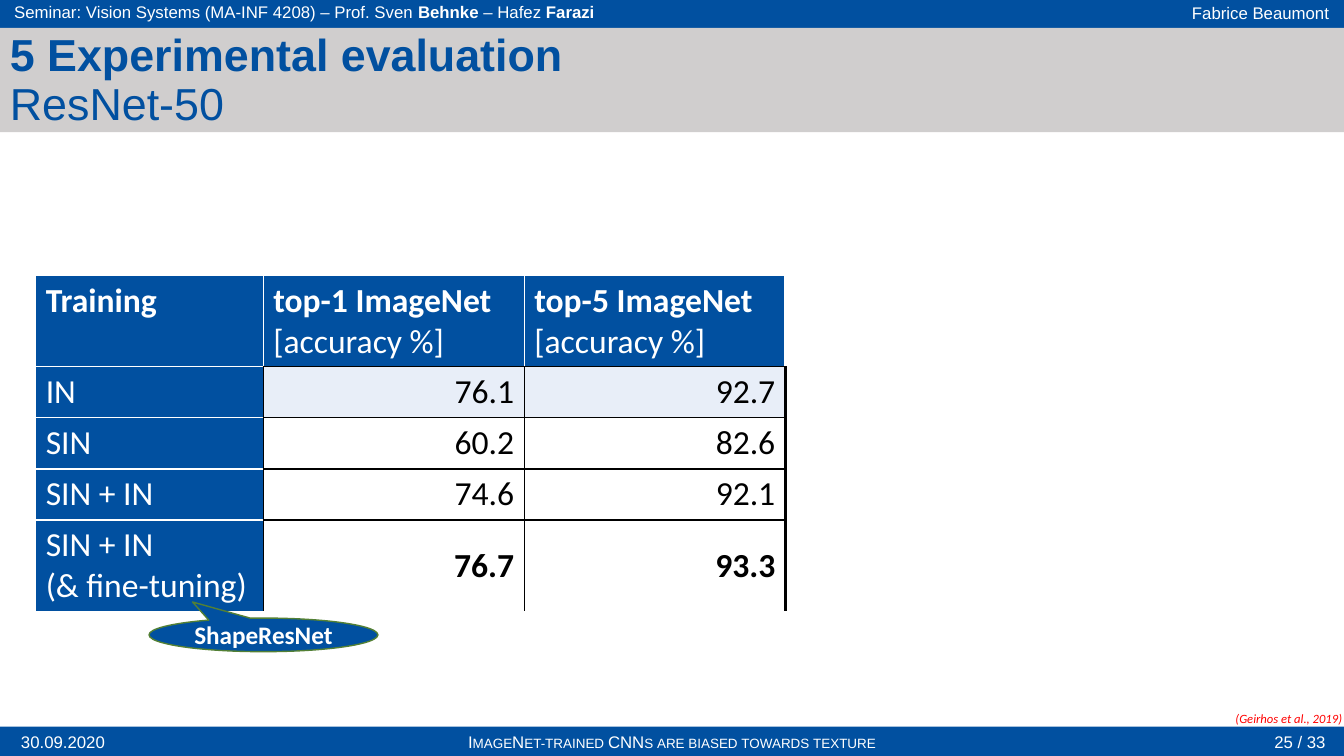
from lxml import etree
from pptx import Presentation
from pptx.dml.color import RGBColor
from pptx.enum import shapes, text
from pptx.oxml.ns import qn
from pptx.util import Pt

THEME = {
    "blue": "0150A0", "grey": "D0CECE", "pale": "E8EEF8", "green": "538035",
    "white": "FFFFFF", "black": "000000", "red": "FF0000",
    "sans": "Arial", "body": "Calibri",
    "bar_size": 12, "title_size": 32, "table_size": 24, "callout_size": 18, "source_size": 9,
}
WIDTH, HEIGHT = 960, 540
LEFT, CENTER, RIGHT = text.PP_ALIGN.LEFT, text.PP_ALIGN.CENTER, text.PP_ALIGN.RIGHT
TOP, MIDDLE = text.MSO_ANCHOR.TOP, text.MSO_ANCHOR.MIDDLE
BOLD = {"bold": True}

# Bands: top, height, colour
BANDS = [(519, 21, "blue"), (-1, 21, "blue"), (20, 74.5, "grey")]

# Bar labels: left, top, width, alignment, runs
BAR_LABELS = [
    (749.5, -1.5, 207, RIGHT, [("Fabrice Beaumont", {})]),
    (1.5, 519, 87, CENTER, [("30.09.2020", {})]),
    (287.5, 519, 385, CENTER,
     [("ImageNet-trained CNNs are biased towards texture", {"small_caps": True})]),
    (3, -2, 594, LEFT, [("Seminar: Vision Systems (MA-INF 4208) – Prof. Sven ", {}),
                        ("Behnke", BOLD), (" – Hafez ", {}), ("Farazi", BOLD)]),
    (888.5, 519, 65.5, RIGHT, [("25 / 33", {})]),
]
BAR_LABEL_HEIGHT = 21

TITLE = [("5 Experimental evaluation\n", BOLD), ("ResNet-50", {})]
SOURCE = [("(Geirhos et al., 2019)", {"italic": True})]
CALLOUT = [("ShapeResNet", BOLD)]

HEADER = [
    [("Training", BOLD)],
    [("top-1 ImageNet\n", BOLD), ("[accuracy %]", {})],
    [("top-5 ImageNet\n", BOLD), ("[accuracy %]", {})],
]
RESULTS = [
    ("IN", "76.1", "92.7"),
    ("SIN", "60.2", "82.6"),
    ("SIN + IN", "74.6", "92.1"),
    ("SIN + IN\n(& fine-tuning)", "76.7", "93.3"),
]
TABLE_LEFT, TABLE_TOP = 25.5, 196.5
COLUMN_WIDTHS = [162.5, 186.5, 186.5]
ONE_LINE, TWO_LINES = 36.5, 65.5
ROW_HEIGHTS = [TWO_LINES, ONE_LINE, ONE_LINE, ONE_LINE, TWO_LINES]


def color(name):
    return RGBColor.from_string(THEME[name])


def write(paragraph, runs, size, font, ink, alignment=LEFT):
    """Fill a paragraph with (text, style) runs; a newline becomes a line break."""
    paragraph.alignment = alignment
    for content, style in runs:
        for index, line in enumerate(content.split("\n")):
            if index:
                paragraph.add_line_break()
            if not line:
                continue
            run = paragraph.add_run()
            run.text = line
            values = {"name": THEME[font], "size": Pt(THEME[size]),
                      "bold": style.get("bold", False), "italic": style.get("italic", False)}
            for attribute, value in values.items():
                setattr(run.font, attribute, value)
            run.font.color.rgb = color(ink)
            if style.get("small_caps"):
                run._r.get_or_add_rPr().set("cap", "small")


def add_text(slide, box, runs, size, font, ink, alignment=LEFT, anchor=MIDDLE, wrap=True):
    frame = slide.shapes.add_textbox(*map(Pt, box)).text_frame
    frame.word_wrap, frame.vertical_anchor = wrap, anchor
    write(frame.paragraphs[0], runs, size, font, ink, alignment)
    return frame


def add_filled(slide, kind, box, fill, line=None):
    shape = slide.shapes.add_shape(kind, *map(Pt, box))
    shape.shadow.inherit = False
    shape.fill.solid()
    shape.fill.fore_color.rgb = color(fill)
    if line:
        shape.line.color.rgb = color(line)
        shape.line.width = Pt(1)
    else:
        shape.line.fill.background()
    return shape


def set_borders(cell, borders):
    properties = cell._tc.get_or_add_tcPr()
    for side in "LRTB":
        ink, width = borders[side]
        line = etree.SubElement(properties, qn(f"a:ln{side}"), w=str(Pt(width)))
        fill = etree.SubElement(line, qn("a:solidFill"))
        etree.SubElement(fill, qn("a:srgbClr"), val=THEME[ink])


def cell_borders(row, column):
    """White rules around the blue cells, black ones around the figures."""
    last_row, last_column = len(RESULTS), len(HEADER) - 1
    sides = {
        "L": "black" if row and column else "white",
        "R": "black" if row else "white",
        "T": "black" if row and column else "white",
        "B": "black" if column and row < last_row else "white",
    }
    return {side: (ink, 3 if side == "R" and column == last_column else 1)
            for side, ink in sides.items()}


def add_results_table(slide):
    body = [[[(value, BOLD if row == len(RESULTS) - 1 and column else {})]
             for column, value in enumerate(values)] for row, values in enumerate(RESULTS)]
    rows = [HEADER] + body
    frame = slide.shapes.add_table(len(rows), len(HEADER), Pt(TABLE_LEFT), Pt(TABLE_TOP),
                                   Pt(sum(COLUMN_WIDTHS)), Pt(sum(ROW_HEIGHTS)))
    table = frame.table
    table.horz_banding = False
    for column, width in zip(table.columns, COLUMN_WIDTHS):
        column.width = Pt(width)
    for row, height in zip(table.rows, ROW_HEIGHTS):
        row.height = Pt(height)
    for r, row in enumerate(rows):
        for c, runs in enumerate(row):
            cell = table.cell(r, c)
            figure = r > 0 and c > 0
            set_borders(cell, cell_borders(r, c))
            cell.fill.solid()
            fill = "blue" if not figure else "pale" if r == 1 else "white"
            cell.fill.fore_color.rgb = color(fill)
            cell.vertical_anchor = MIDDLE if figure else TOP
            write(cell.text_frame.paragraphs[0], runs, "table_size", "body",
                  "black" if figure else "white", RIGHT if figure else LEFT)


def add_callout(slide):
    callout = add_filled(slide, shapes.MSO_SHAPE.OVAL_CALLOUT, (106.5, 441.5, 163.5, 24),
                         "blue", "green")
    callout.adjustments[0], callout.adjustments[1] = -0.31, -0.98
    callout.text_frame.vertical_anchor = MIDDLE
    write(callout.text_frame.paragraphs[0], CALLOUT, "callout_size", "body", "white", CENTER)


def main():
    presentation = Presentation()
    presentation.slide_width, presentation.slide_height = Pt(WIDTH), Pt(HEIGHT)
    slide = presentation.slides.add_slide(presentation.slide_layouts[6])
    for top, height, fill in BANDS:
        add_filled(slide, shapes.MSO_SHAPE.RECTANGLE, (0, top, WIDTH, height), fill)
    for left, top, width, alignment, runs in BAR_LABELS:
        add_text(slide, (left, top, width, BAR_LABEL_HEIGHT), runs,
                 "bar_size", "sans", "white", alignment)
    title = add_text(slide, (0, 20, 828, 38), TITLE, "title_size", "sans", "blue", anchor=TOP)
    title.paragraphs[0].line_spacing = 0.9
    add_results_table(slide)
    source = add_text(slide, (882.5, 507.5, 77, 11), SOURCE, "source_size", "body", "red",
                      anchor=TOP, wrap=False)
    for side in ("left", "top", "right", "bottom"):
        setattr(source, f"margin_{side}", 0)
    add_callout(slide)
    presentation.save("out.pptx")


if __name__ == "__main__":
    main()
